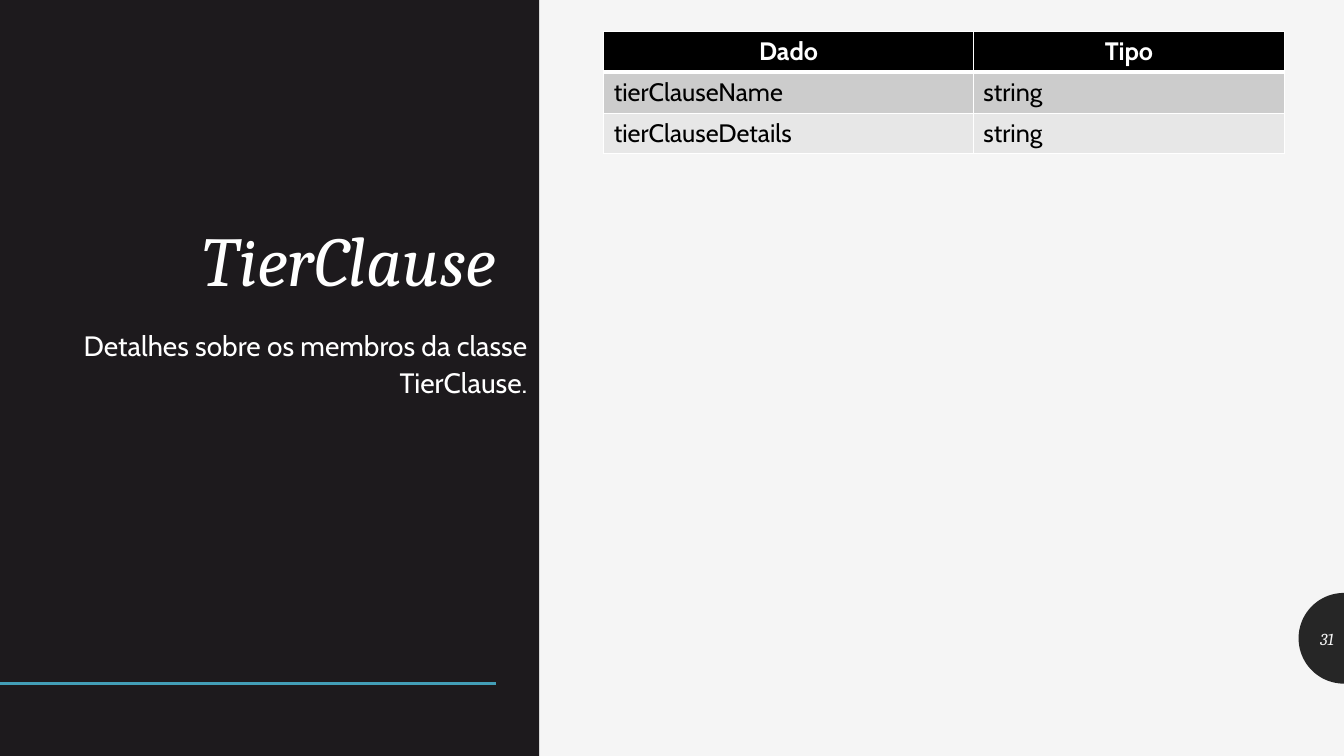
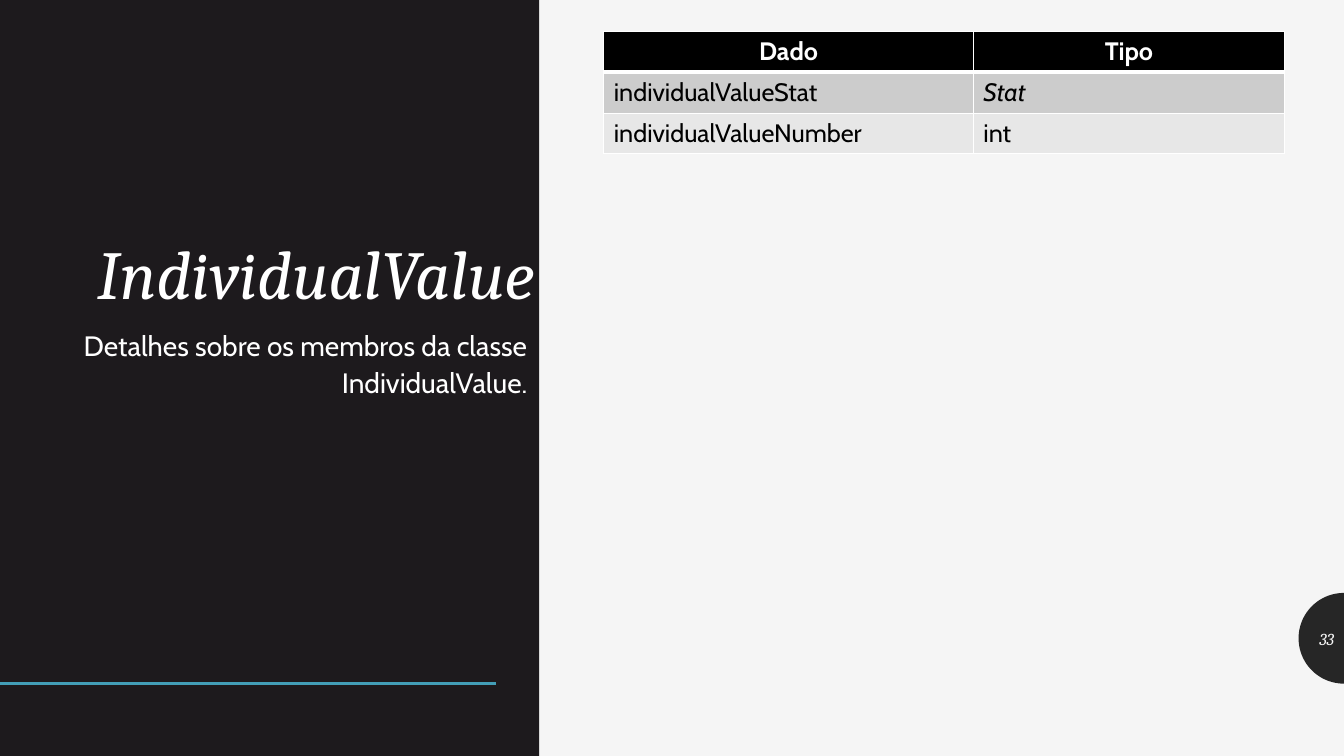
import math

import pptx
import pptx.dml.color
import pptx.enum.shapes
import pptx.enum.text
import pptx.oxml.ns
import pptx.oxml.xmlchemy
import pptx.util

WIDE = pptx.util.Inches(40 / 3)
HIGH = pptx.util.Inches(7.5)
COLS, ROWS = 40, 30

PAPER, PANEL, DISC, TEAL = "F5F5F5", "1D1A1D", "262626", "439EB7"
WHITE, BLACK = "FFFFFF", "000000"
BANDS = ("CCCCCC", "E7E7E7")
SERIF, SANS = "Cambria", "Cabin"

RADIUS = int(HIGH * 0.06)
DISC_ROW = 25.33
RULE_ROW = 27.12

ALIGN = pptx.enum.text.PP_ALIGN
ANCHOR = pptx.enum.text.MSO_ANCHOR

# Boxes are left, top, width and height in grid columns and rows.
PAGES = [
    {"name": "TierClause", "size": 50, "number": "31",
     "title": (2.5, 2.45, 12.57, 9.72), "body": (0, 12.67, 16, 12.48),
     "rows": [("tierClauseName", "string"), ("tierClauseDetails", "string")]},
    {"name": "IndividualValue", "size": 49, "number": "33",
     "title": (-0.4, 7.8, 16.6, 4.88), "body": (-1, 12.67, 17, 4.88),
     "rows": [("individualValueStat", "Stat"), ("individualValueNumber", "int")]},
]
ITALIC = {"Stat"}


def col(n):
    return int(WIDE * n / COLS)


def row(n):
    return int(HIGH * n / ROWS)


def tint(code):
    return pptx.dml.color.RGBColor.from_string(code)


def node(tag):
    return pptx.oxml.xmlchemy.OxmlElement(tag)


def paint(item, code):
    item.fill.solid()
    item.fill.fore_color.rgb = tint(code)


def place(shape, box):
    left, top, width, height = box
    shape.left, shape.top = col(left), row(top)
    shape.width, shape.height = col(width), row(height)


def write(frame, text, face, size, code, align, bold=False, italic=False):
    frame.text = text
    para = frame.paragraphs[0]
    para.alignment = align
    para.space_before = pptx.util.Pt(0)
    font = para.runs[0].font
    font.name, font.size = face, pptx.util.Pt(size)
    font.bold, font.italic = bold, italic
    font.color.rgb = tint(code)
    return para


def plain(shape, code):
    paint(shape, code)
    shape.line.fill.background()
    shape.shadow.inherit = False
    return shape


def panel(slide):
    kind = pptx.enum.shapes.MSO_SHAPE.RECTANGLE
    return plain(slide.shapes.add_shape(kind, 0, 0, col(16.05), HIGH), PANEL)


def disc(slide):
    """Half disc on the right edge, behind the page number."""
    turns = [math.radians(a) for a in range(90, 271, 4)] + [math.radians(270)]
    points = [(int(WIDE + RADIUS * math.cos(t)),
               int(row(DISC_ROW) + RADIUS * math.sin(t))) for t in turns]
    build = slide.shapes.build_freeform(*points[0])
    build.add_line_segments(points[1:], close=True)
    return plain(build.convert_to_shape(), DISC)


def rule(slide):
    kind = pptx.enum.shapes.MSO_CONNECTOR.STRAIGHT
    line = slide.shapes.add_connector(
        kind, 0, row(RULE_ROW), col(14.76), row(RULE_ROW))
    line.line.color.rgb = tint(TEAL)
    line.line.width = pptx.util.Pt(2)
    props = line.element.find(pptx.oxml.ns.qn("p:spPr"))
    props.append(node("a:effectLst"))
    return line


def dress(layout, slide):
    """Draw the shared parts on a slide and move them to the back of its layout."""
    for i, draw in enumerate((disc, panel, rule)):
        part = draw(slide).element
        part.xpath(".//p:cNvPr")[0].set("id", str(20 + i))
        layout.shapes.element.insert(2 + i, part)


def title(slide, page):
    shape = slide.shapes.title
    place(shape, page["title"])
    frame = shape.text_frame
    frame.auto_size = pptx.enum.text.MSO_AUTO_SIZE.NONE
    frame.vertical_anchor = ANCHOR.BOTTOM
    para = write(frame, page["name"], SERIF, page["size"], WHITE,
                 ALIGN.RIGHT, italic=True)
    para.line_spacing = 0.9


def body(slide, page):
    shape = slide.placeholders[1]
    place(shape, page["body"])
    frame = shape.text_frame
    frame.auto_size = pptx.enum.text.MSO_AUTO_SIZE.NONE
    text = f"Detalhes sobre os membros da classe {page['name']}."
    para = write(frame, text, SANS, 20, WHITE, ALIGN.RIGHT)
    para.line_spacing = 1.12
    props = para._p.get_or_add_pPr()
    props.set("marL", "0")
    props.set("indent", "0")
    props.append(node("a:buNone"))


def number(slide, page):
    high = row(1.6)
    box = slide.shapes.add_textbox(
        WIDE - RADIUS, row(DISC_ROW) - high // 2, RADIUS, high)
    frame = box.text_frame
    frame.word_wrap = True
    frame.vertical_anchor = ANCHOR.MIDDLE
    write(frame, page["number"], SERIF, 12, PAPER, ALIGN.RIGHT, italic=True)


def edge(cell, top, bottom):
    """Give a cell white borders, with top and bottom widths in points."""
    props = cell._tc.get_or_add_tcPr()
    sides = {"L": 1, "R": 1, "T": top, "B": bottom}
    for i, (side, width) in enumerate(sides.items()):
        line = node(f"a:ln{side}")
        line.set("w", str(int(pptx.util.Pt(width))))
        fill = node("a:solidFill")
        shade = node("a:srgbClr")
        shade.set("val", WHITE)
        fill.append(shade)
        line.append(fill)
        props.insert(i, line)


def table(slide, page):
    data = [("Dado", "Tipo")] + page["rows"]
    widths = (11, 9.26)
    grid = slide.shapes.add_table(
        len(data), len(widths), col(17.97), row(1.25),
        col(sum(widths)), row(1.62 * len(data))).table
    grid.horz_banding = False
    for column, width in zip(grid.columns, widths):
        column.width = col(width)
    for r, texts in enumerate(data):
        head = r == 0
        for c, text in enumerate(texts):
            cell = grid.cell(r, c)
            paint(cell, BLACK if head else BANDS[(r - 1) % 2])
            edge(cell, 3 if r == 1 else 1, 3 if head else 1)
            write(cell.text_frame, text, SANS, 18, WHITE if head else BLACK,
                  ALIGN.CENTER if head else ALIGN.LEFT,
                  bold=head, italic=text in ITALIC)


def main():
    deck = pptx.Presentation()
    deck.slide_width, deck.slide_height = WIDE, HIGH
    paint(deck.slide_master.background, PAPER)
    layout = deck.slide_layouts[1]
    for i, page in enumerate(PAGES):
        slide = deck.slides.add_slide(layout)
        if i == 0:
            dress(layout, slide)
        for draw in (title, number, body, table):
            draw(slide, page)
    deck.save("out.pptx")


if __name__ == "__main__":
    main()
